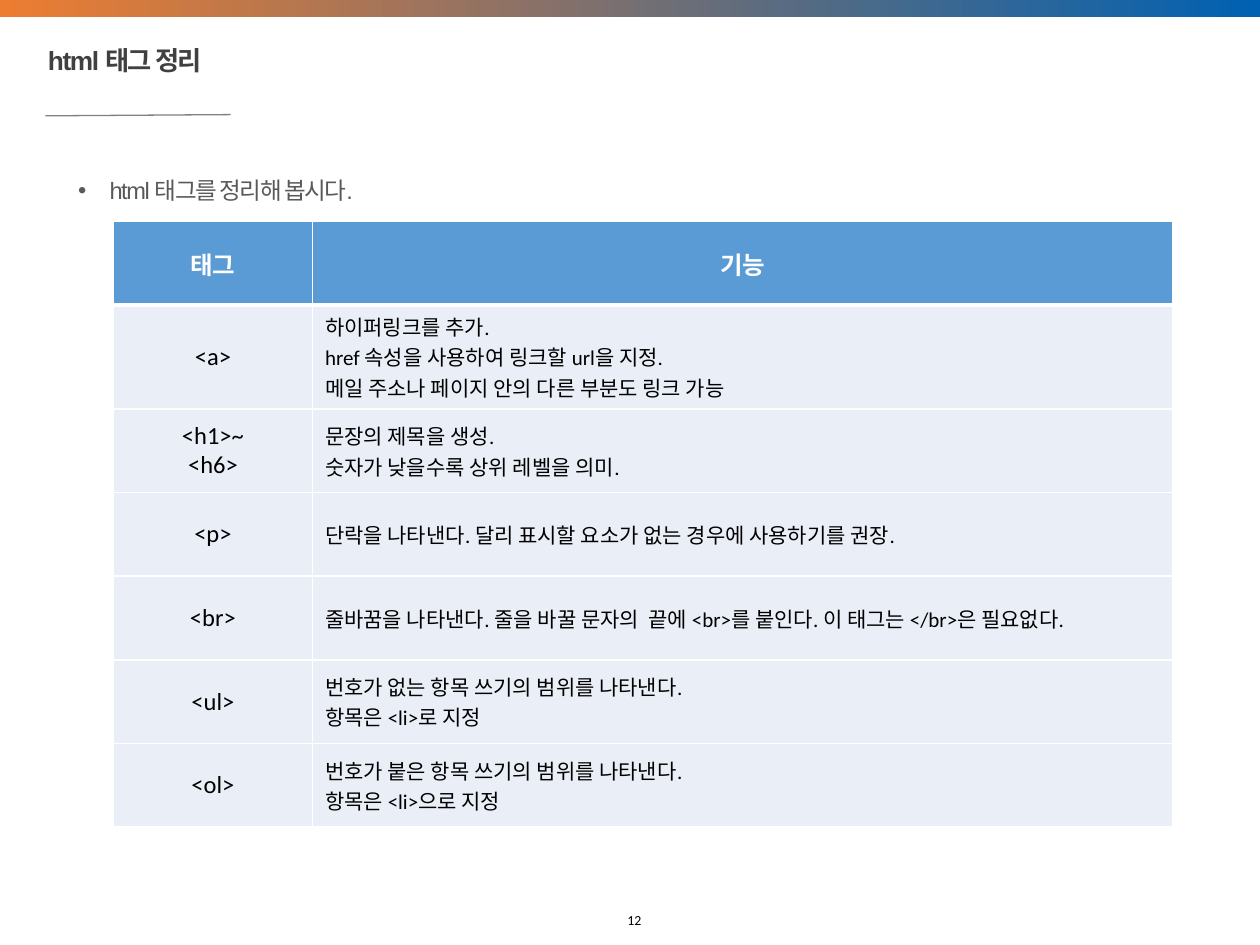
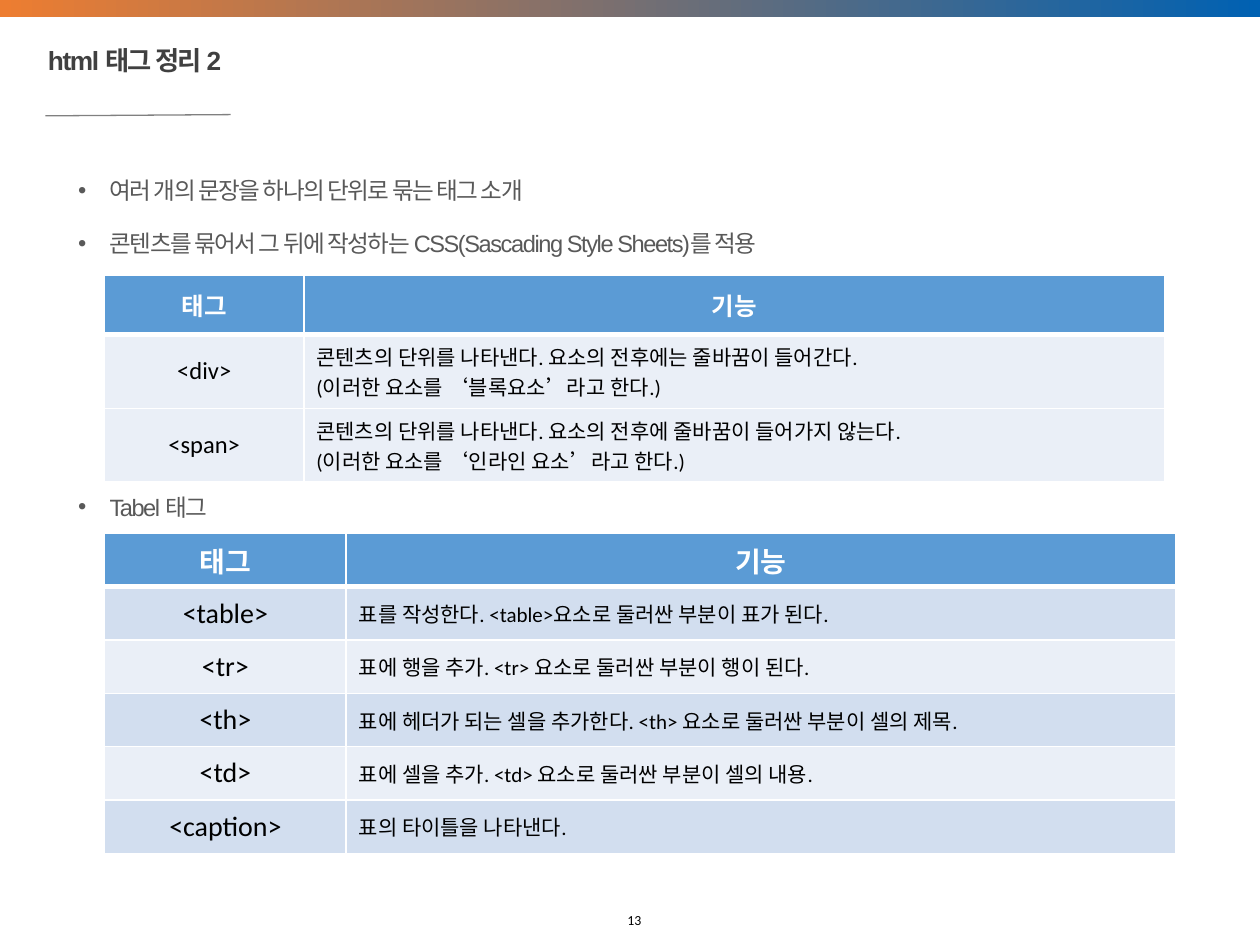
from itertools import accumulate

from lxml import etree
from pptx import Presentation
from pptx.dml.color import RGBColor
from pptx.enum.shapes import MSO_CONNECTOR as Connector, MSO_SHAPE as Preset
from pptx.enum.text import MSO_ANCHOR as Anchor, MSO_AUTO_SIZE as AutoSize, PP_ALIGN as Align
from pptx.oxml.ns import qn
from pptx.util import Pt

COLORS = {
    "orange": "ED7D31", "blue": "0061B2", "rule": "808080", "title": "404040",
    "body": "595959", "black": "000000", "white": "FFFFFF",
    "header": "5B9BD5", "light": "EAEFF7", "dark": "D2DEEF",
}
SLIDE_SIZE = (720, 540)
BAND_BOX = (0, 0, 720, 9.8)
TITLE_BOX = (20.2, 23.8, 397.4, 32.4)
BODY_BOX = (37.4, 92.9, 650.2, 403.2)
NUMBER_BOX = (281.5, 511.2, 162, 28.8)
RULE_ENDS = (26, 66.2, 131.8, 65.5)

TITLE_FORMAT = {"name": "Arial", "size": Pt(15), "bold": True}
BODY_FORMAT = {"name": "Arial", "size": Pt(13.5), "bold": False}
NUMBER_FORMAT = {"name": "Calibri", "size": Pt(7.9), "bold": False}

HEADINGS = ("태그", "기능")
BASIC_TAGS = [
    ("<a>", "하이퍼링크를 추가.\nhref 속성을 사용하여 링크할 url을 지정.\n메일 주소나 페이지 안의 다른 부분도 링크 가능"),
    ("<h1>~\n<h6>", "문장의 제목을 생성.\n숫자가 낮을수록 상위 레벨을 의미."),
    ("<p>", "단락을 나타낸다. 달리 표시할 요소가 없는 경우에 사용하기를 권장."),
    ("<br>", "줄바꿈을 나타낸다. 줄을 바꿀 문자의  끝에 <br>를 붙인다. 이 태그는 </br>은 필요없다."),
    ("<ul>", "번호가 없는 항목 쓰기의 범위를 나타낸다.\n항목은 <li>로 지정"),
    ("<ol>", "번호가 붙은 항목 쓰기의 범위를 나타낸다.\n항목은 <li>으로 지정"),
]
GROUP_TAGS = [
    ("<div>", "콘텐츠의 단위를 나타낸다. 요소의 전후에는 줄바꿈이 들어간다.\n(이러한 요소를 ‘블록요소’라고 한다.)"),
    ("<span>", "콘텐츠의 단위를 나타낸다. 요소의 전후에 줄바꿈이 들어가지 않는다.\n(이러한 요소를 ‘인라인 요소’라고 한다.)"),
]
TABLE_TAGS = [
    ("<table>", "표를 작성한다. <table>요소로 둘러싼 부분이 표가 된다."),
    ("<tr>", "표에 행을 추가. <tr> 요소로 둘러싼 부분이 행이 된다."),
    ("<th>", "표에 헤더가 되는 셀을 추가한다. <th> 요소로 둘러싼 부분이 셀의 제목."),
    ("<td>", "표에 셀을 추가. <td> 요소로 둘러싼 부분이 셀의 내용."),
    ("<caption>", "표의 타이틀을 나타낸다."),
]

SLIDES = [
    {
        "number": 12,
        "title": "html 태그 정리",
        "bullets": [("html 태그를 정리해 봅시다.", 0)],
        "tables": [
            {"origin": (64.8, 126.7), "columns": (113.8, 491.8), "tag_size": 14,
             "heights": (47.5, 58.8) + (47.8,) * 5, "fills": ("light",), "rows": BASIC_TAGS},
        ],
    },
    {
        "number": 13,
        "title": "html 태그 정리 2",
        "bullets": [
            ("여러 개의 문장을 하나의 단위로 묶는 태그 소개", 0),
            ("콘텐츠를 묶어서 그 뒤에 작성하는 CSS(Sascading Style Sheets)를 적용", 10),
            ("Tabel 태그", 130.6),
        ],
        "tables": [
            {"origin": (59.8, 157), "columns": (113.8, 491.8), "tag_size": 14,
             "heights": (34.3, 41.8, 41.8), "fills": ("light",), "rows": GROUP_TAGS},
            {"origin": (59.8, 304.8), "columns": (138, 474), "tag_size": 16,
             "heights": (30.5,) * 6, "fills": ("dark", "light"), "rows": TABLE_TAGS},
        ],
    },
]


def color(name):
    return RGBColor.from_string(COLORS[name])


def points(values):
    return [Pt(value) for value in values]


def place(shape, box):
    for name, value in zip(("left", "top", "width", "height"), box):
        setattr(shape, name, Pt(value))


def write(paragraph, text, formats, color_name, spacing=0):
    run = paragraph.add_run()
    run.text = text
    for name, value in formats.items():
        setattr(run.font, name, value)
    run.font.color.rgb = color(color_name)
    if spacing:
        run.font._element.set("spc", str(spacing))


def prepare_frame(shape, anchor=Anchor.TOP):
    frame = shape.text_frame
    settings = {"word_wrap": True, "auto_size": AutoSize.NONE, "vertical_anchor": anchor}
    for name, value in settings.items():
        setattr(frame, name, value)
    return frame


def add_band(slide, box):
    band = slide.shapes.add_shape(Preset.RECTANGLE, *points(box))
    band.shadow.inherit = False
    band.line.fill.background()
    band.fill.gradient()
    band.fill.gradient_angle = 0
    for stop, name, position in zip(band.fill.gradient_stops, ("orange", "blue"), (0, 1)):
        stop.color.rgb = color(name)
        stop.position = position


def add_rule(slide, ends):
    rule = slide.shapes.add_connector(Connector.STRAIGHT, *points(ends))
    rule.line.color.rgb = color("rule")
    rule.line.width = Pt(0.75)
    etree.SubElement(rule._element.spPr, qn("a:effectLst"))


def fill_title(slide, box, text):
    title = slide.shapes.title
    place(title, box)
    paragraph = prepare_frame(title).paragraphs[0]
    paragraph.alignment = Align.LEFT
    paragraph.line_spacing = 0.9
    write(paragraph, text, TITLE_FORMAT, "title", -80)


def fill_bullets(slide, box, bullets):
    body = slide.placeholders[1]
    place(body, box)
    frame = prepare_frame(body)
    for index, (text, gap) in enumerate(bullets):
        paragraph = frame.add_paragraph() if index else frame.paragraphs[0]
        properties = paragraph._p.get_or_add_pPr()
        properties.set("marL", str(Pt(18)))
        properties.set("indent", str(-Pt(18)))
        etree.SubElement(properties, qn("a:buFont")).set("typeface", "Arial")
        etree.SubElement(properties, qn("a:buChar")).set("char", "•")
        paragraph.line_spacing = 1.25
        paragraph.space_before = Pt(gap)
        write(paragraph, text, BODY_FORMAT, "body", -80)


def add_number(slide, box, number):
    frame = prepare_frame(slide.shapes.add_textbox(*points(box)), Anchor.MIDDLE)
    paragraph = frame.paragraphs[0]
    paragraph.alignment = Align.CENTER
    write(paragraph, str(number), NUMBER_FORMAT, "black")


def set_borders(cell, widths):
    properties = cell._tc.get_or_add_tcPr()
    for side, width in widths.items():
        line = etree.SubElement(properties, qn(f"a:ln{side}"), w=str(Pt(width)))
        fill = etree.SubElement(line, qn("a:solidFill"))
        etree.SubElement(fill, qn("a:srgbClr"), val=COLORS["white"])


def fill_cell(cell, text, size, header, centered, fill_name, widths):
    set_borders(cell, widths)
    cell.fill.solid()
    cell.fill.fore_color.rgb = color(fill_name)
    cell.vertical_anchor = Anchor.MIDDLE
    formats = {"name": "Calibri", "size": Pt(size), "bold": header}
    for index, line in enumerate(text.split("\n")):
        frame = cell.text_frame
        paragraph = frame.add_paragraph() if index else frame.paragraphs[0]
        paragraph.alignment = Align.CENTER if centered else Align.LEFT
        write(paragraph, line, formats, "white" if header else "black")


def add_tag_table(slide, origin, columns, heights, tag_size, fills, rows):
    box = (*origin, sum(columns), sum(heights))
    table = slide.shapes.add_table(len(heights), len(columns), *points(box)).table
    table.first_row = table.horz_banding = False
    for column, width in zip(table.columns, columns):
        column.width = Pt(width)
    for row_index, (height, texts) in enumerate(zip(heights, [HEADINGS, *rows])):
        table.rows[row_index].height = Pt(height)
        header = row_index == 0
        fill_name = "header" if header else fills[(row_index - 1) % len(fills)]
        widths = {"L": 1, "R": 1, "T": 3 if row_index == 1 else 1, "B": 3 if header else 1}
        for column_index, text in enumerate(texts):
            centered = header or column_index == 0
            fill_cell(table.cell(row_index, column_index), text, tag_size if centered else 12,
                      header, centered, fill_name, widths)


def build_slide(presentation, content):
    slide = presentation.slides.add_slide(presentation.slide_layouts[1])
    add_band(slide, BAND_BOX)
    add_rule(slide, RULE_ENDS)
    fill_title(slide, TITLE_BOX, content["title"])
    fill_bullets(slide, BODY_BOX, content["bullets"])
    add_number(slide, NUMBER_BOX, content["number"])
    for table in content["tables"]:
        add_tag_table(slide, **table)


def main():
    presentation = Presentation()
    presentation.slide_width, presentation.slide_height = points(SLIDE_SIZE)
    for content in SLIDES:
        build_slide(presentation, content)
    presentation.save("out.pptx")


if __name__ == "__main__":
    main()
